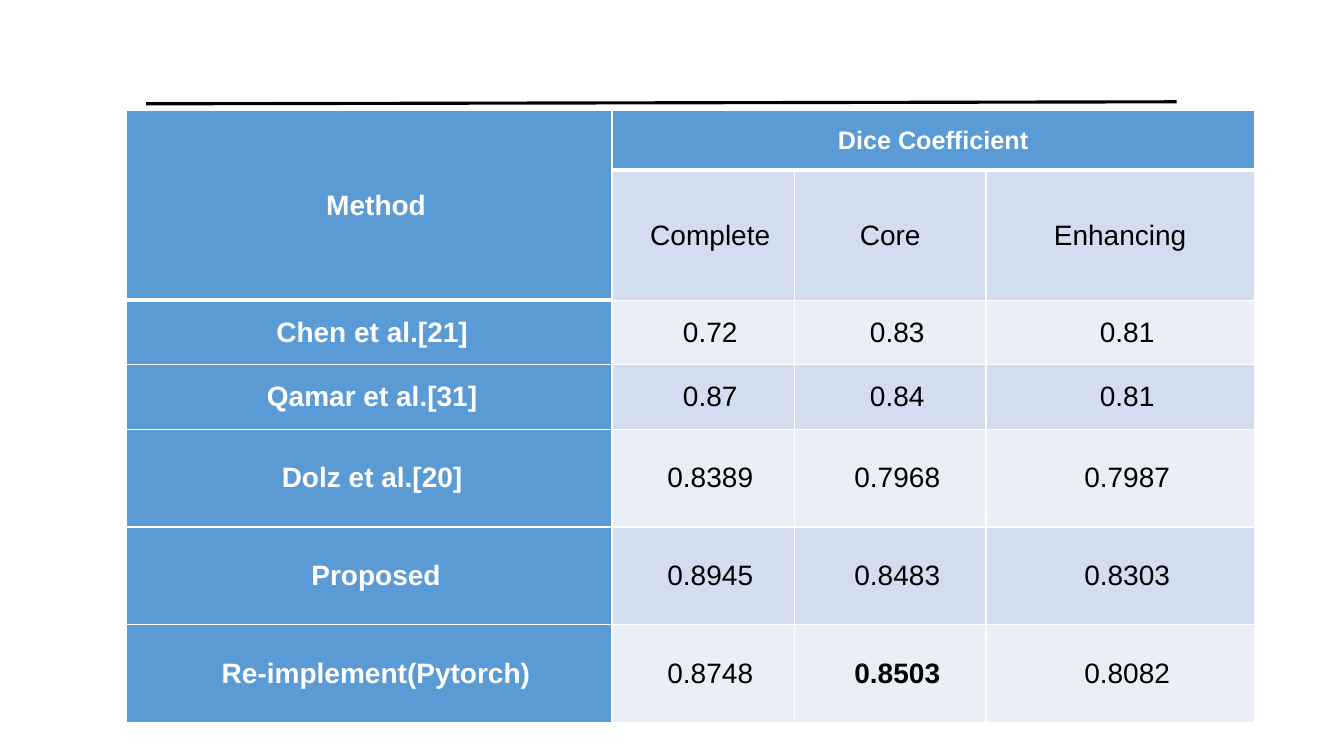
from lxml import etree
from pptx import Presentation
from pptx.dml.color import RGBColor
from pptx.enum.shapes import MSO_CONNECTOR
from pptx.enum.text import MSO_ANCHOR, PP_ALIGN
from pptx.oxml.ns import qn
from pptx.util import Inches, Pt

BLACK = RGBColor(0x00, 0x00, 0x00)
WHITE = RGBColor(0xFF, 0xFF, 0xFF)
BLUE = RGBColor(0x5B, 0x9B, 0xD5)
BAND_DARK = RGBColor(0xD2, 0xDE, 0xEF)
BAND_LIGHT = RGBColor(0xEA, 0xEF, 0xF7)

COLUMN_WIDTHS = [4.82, 1.81, 1.9, 2.66]
ROW_HEIGHTS = [0.59, 1.29, 0.64, 0.64, 0.97, 0.97, 0.97]
ROWS = [
    ["Method", "Dice Coefficient", "", ""],
    ["", "Complete", "Core", "Enhancing"],
    ["Chen et al.[21] ", "0.72", "0.83", "0.81"],
    ["Qamar et al.[31] ", "0.87", "0.84", "0.81"],
    ["Dolz et al.[20] ", "0.8389", "0.7968", "0.7987"],
    ["Proposed", "0.8945", "0.8483", "0.8303"],
    ["Re-implement(Pytorch)", "0.8748", "0.8503", "0.8082"],
]
BEST_SCORES = {"0.8503"}
UNINDENTED = {"Dice Coefficient", "Core", "Enhancing"}


def add_header_rule(page, left, top, right, bottom):
    rule = page.shapes.add_connector(
        MSO_CONNECTOR.STRAIGHT, Inches(left), Inches(top), Inches(right), Inches(bottom))
    rule.line.color.rgb = BLACK
    rule.line.width = Pt(2.25)
    etree.SubElement(rule._element.spPr, qn("a:effectLst"))


def add_borders(cell, top, bottom):
    """Give the cell white borders; top and bottom are widths in points."""
    properties = cell._tc.get_or_add_tcPr()
    for side, width in (("L", 1), ("R", 1), ("T", top), ("B", bottom)):
        line = etree.SubElement(properties, qn(f"a:ln{side}"), w=str(Pt(width)))
        fill = etree.SubElement(line, qn("a:solidFill"))
        etree.SubElement(fill, qn("a:srgbClr"), val=str(WHITE))


def style_cell(cell, text, row, column):
    is_header = row == 0 or column == 0
    header_end = 1 if column == 0 else 0
    add_borders(cell,
                top=3 if row == header_end + 1 else 1,
                bottom=3 if row == header_end else 1)
    cell.fill.solid()
    band = BAND_DARK if row % 2 else BAND_LIGHT
    cell.fill.fore_color.rgb = BLUE if is_header else band
    cell.vertical_anchor = MSO_ANCHOR.MIDDLE
    cell.margin_left = cell.margin_right = Inches(0.07)
    cell.margin_top = cell.margin_bottom = 0

    cell.text = text
    para = cell.text_frame.paragraphs[0]
    para.alignment = PP_ALIGN.CENTER
    if text and text not in UNINDENTED:
        para._p.get_or_add_pPr().set("indent", str(Inches(0.14)))
    para.font.name = "Arial"
    para.font.size = Pt(18 if row == 0 and column else 20)
    para.font.bold = is_header or text in BEST_SCORES
    para.font.color.rgb = WHITE if is_header else BLACK


def add_score_table(page, left, top):
    table = page.shapes.add_table(
        len(ROWS), len(COLUMN_WIDTHS), Inches(left), Inches(top),
        Inches(sum(COLUMN_WIDTHS)), Inches(sum(ROW_HEIGHTS))).table
    for column, width in zip(table.columns, COLUMN_WIDTHS):
        column.width = Inches(width)
    for row, height in zip(table.rows, ROW_HEIGHTS):
        row.height = Inches(height)
    for row, texts in enumerate(ROWS):
        for column, text in enumerate(texts):
            style_cell(table.cell(row, column), text, row, column)
    table.cell(0, 0).merge(table.cell(1, 0))
    table.cell(0, 1).merge(table.cell(0, 3))


def main():
    deck = Presentation()
    deck.slide_width, deck.slide_height = Inches(13.33), Inches(7.5)
    page = deck.slides.add_slide(deck.slide_layouts[6])
    add_header_rule(page, 1.45, 1.03, 11.67, 1.01)
    add_score_table(page, 1.25, 1.1)
    deck.save("out.pptx")


if __name__ == "__main__":
    main()
